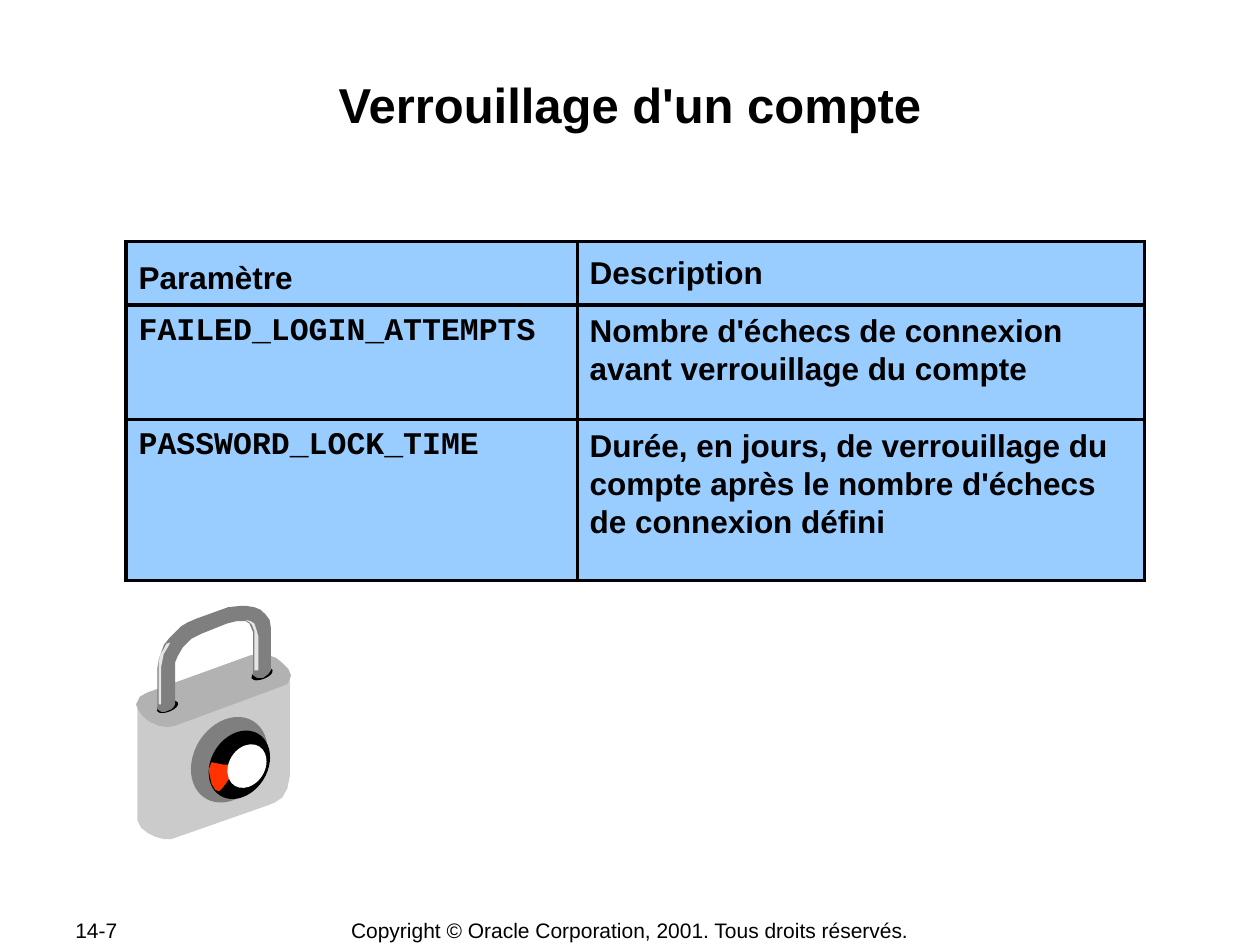
from lxml.etree import SubElement
from pptx import Presentation
from pptx.dml.color import RGBColor
from pptx.enum.shapes import MSO_SHAPE as Shape
from pptx.enum.text import MSO_ANCHOR as Anchor, PP_ALIGN as Align
from pptx.oxml.ns import qn
from pptx.util import Inches, Pt

# Content
TITLE = "Verrouillage d'un compte"
PAGE = "14-7"
COPYRIGHT = "Copyright © Oracle Corporation, 2001. Tous droits réservés."
PARAMETERS = [
    ("Paramètre", "Description"),
    ("FAILED_LOGIN_ATTEMPTS",
     "Nombre d'échecs de connexion\vavant verrouillage du compte"),
    ("PASSWORD_LOCK_TIME",
     "Durée, en jours, de verrouillage du\vcompte après le nombre d'échecs"
     "\vde connexion défini"),
]
COLUMN_WIDTHS = (3.58, 4.5)
ROW_HEIGHTS = (0.5, 0.91, 1.28)
TABLE_LEFT, TABLE_TOP = 1, 1.92
BLACK, CELL_BLUE, GREY = "000000", "99CCFF", "7F7F7F"

# Padlock outlines, in hundredths of an inch
BODY = [(230, 616), (230, 538), (109, 558), (109, 651), (112, 657), (117, 661),
        (123, 664), (130, 666), (136, 666), (213, 639), (218, 637), (224, 633),
        (228, 626)]
TOP_FACE = [(223, 545), (228, 543), (230, 539), (231, 536), (229, 531),
            (224, 526), (219, 522), (213, 520), (206, 519), (199, 520),
            (116, 550), (111, 553), (109, 557), (108, 559), (110, 564),
            (114, 569), (119, 573), (126, 576), (133, 577), (139, 576)]
SHACKLE = [(215, 498), (214, 492), (211, 488), (207, 484), (202, 482),
           (196, 481), (190, 481), (181, 482), (156, 491), (149, 494),
           (144, 497), (139, 502), (134, 507), (130, 512), (128, 518),
           (126, 524), (125, 530), (125, 563), (128, 565), (131, 565),
           (136, 563), (138, 561), (139, 559), (139, 530), (139, 526),
           (141, 521), (145, 514), (152, 507), (160, 503), (180, 495),
           (188, 493), (195, 493), (198, 495), (201, 502), (201, 536),
           (204, 538), (209, 538), (213, 535), (215, 532)]
INNER_SHINE = [(202, 532), (202, 501), (200, 496), (198, 494), (195, 492),
               (199, 493), (202, 495), (204, 501), (205, 505), (205, 532)]
OUTER_SHINE = [(126, 559), (126, 526), (127, 520), (130, 515), (132, 511),
               (135, 510), (133, 514), (130, 519), (129, 524), (128, 529),
               (128, 559)]
RED_MARK = [(181, 607), (178, 607), (168, 605), (166, 610), (166, 613),
            (168, 622), (171, 627), (174, 628), (177, 625), (182, 618)]

# Ovals: centre x, centre y, width, height, rotation
DIAL_WIDTH, DIAL_HEIGHT, DIAL_TILT = 0.56, 0.72, 32


def dial_oval(x, y, share):
    return x, y, DIAL_WIDTH * share, DIAL_HEIGHT * share, DIAL_TILT


def hole(x, y):
    return x, y, 0.18, 0.08, -21


PADLOCK = [
    (BODY, "CBCBCB"), (TOP_FACE, "B2B2B2"),
    (dial_oval(1.82, 6.03, 1), GREY), (dial_oval(1.9, 6.07, 0.8), BLACK),
    (RED_MARK, "FF3300"), (dial_oval(1.96, 6.08, 0.51), "FFFFFF"),
    (hole(2.08, 5.35), BLACK), (hole(1.33, 5.61), BLACK),
    (SHACKLE, GREY), (INNER_SHINE, "E5E5E5"), (OUTER_SHINE, "E5E5E5"),
]


def color(value):
    return RGBColor.from_string(value)


def format_text(frame, size, font="Arial", bold=False, align=Align.LEFT,
                spacing=1.0):
    for paragraph in frame.paragraphs:
        paragraph.alignment = align
        paragraph.line_spacing = spacing
        for run in paragraph.runs:
            run.font.size, run.font.name, run.font.bold = Pt(size), font, bold
            run.font.color.rgb = color(BLACK)


def add_footer(slide, text, left, width, align):
    frame = slide.shapes.add_textbox(
        Inches(left), Inches(7.28), Inches(width), Inches(0.2)).text_frame
    frame.text = text
    frame.word_wrap = False
    frame.vertical_anchor = Anchor.MIDDLE
    format_text(frame, 12, align=align)


def add_padlock(slide):
    parts = slide.shapes.add_group_shape().shapes
    for outline, fill in PADLOCK:
        if isinstance(outline, list):
            builder = parts.build_freeform(*outline[0], scale=Inches(0.01))
            builder.add_line_segments(outline[1:], close=True)
            part = builder.convert_to_shape()
        else:
            x, y, width, height, tilt = outline
            part = parts.add_shape(
                Shape.OVAL, Inches(x - width / 2), Inches(y - height / 2),
                Inches(width), Inches(height))
            part.rotation = tilt
        part.shadow.inherit = False
        part.fill.solid()
        part.fill.fore_color.rgb = color(fill)
        part.line.fill.background()


def set_borders(cell, widths):
    properties = cell._tc.get_or_add_tcPr()
    for side, width in widths.items():
        line = SubElement(properties, qn(f"a:ln{side}"), w=str(Pt(width)))
        solid = SubElement(line, qn("a:solidFill"))
        SubElement(solid, qn("a:srgbClr"), val=BLACK)


def add_parameter_table(slide):
    table = slide.shapes.add_table(
        len(ROW_HEIGHTS), len(COLUMN_WIDTHS), Inches(TABLE_LEFT),
        Inches(TABLE_TOP), Inches(sum(COLUMN_WIDTHS)),
        Inches(sum(ROW_HEIGHTS))).table
    table.first_row = table.horz_banding = False
    for column, width in zip(table.columns, COLUMN_WIDTHS):
        column.width = Inches(width)
    for r, (row, height) in enumerate(zip(table.rows, ROW_HEIGHTS)):
        row.height = Inches(height)
        for c, cell in enumerate(row.cells):
            cell.text = PARAMETERS[r][c]
            cell.vertical_anchor = Anchor.TOP if r else Anchor.MIDDLE
            code = r > 0 and c == 0
            format_text(cell.text_frame, 18,
                        "Courier New" if code else "Arial", bold=True,
                        spacing=1.08 if r else 1.0)
            # Thicker rule under the header row
            set_borders(cell, {"L": 2, "R": 2, "T": 3 if r == 1 else 2,
                               "B": 3 if r == 0 else 2})
            cell.fill.solid()
            cell.fill.fore_color.rgb = color(CELL_BLUE)
    table.cell(0, 0).margin_top = Inches(0.13)


def main():
    deck = Presentation()
    deck.slide_width, deck.slide_height = Inches(10), Inches(7.5)
    slide = deck.slides.add_slide(deck.slide_layouts[5])

    # Title
    title = slide.shapes.title
    title.left, title.top = Inches(1), Inches(0.58)
    title.width, title.height = Inches(8), Inches(0.96)
    frame = title.text_frame
    frame.text = TITLE
    frame.vertical_anchor = Anchor.TOP
    frame.margin_left = frame.margin_right = Inches(0.01)
    frame.margin_top = frame.margin_bottom = Inches(0.01)
    format_text(frame, 28, bold=True, align=Align.CENTER)

    # Table, padlock and footer
    add_parameter_table(slide)
    add_padlock(slide)
    add_footer(slide, PAGE, 0.5, 1.06, Align.LEFT)
    add_footer(slide, COPYRIGHT, 2.5, 5, Align.CENTER)
    deck.save("out.pptx")


if __name__ == "__main__":
    main()
